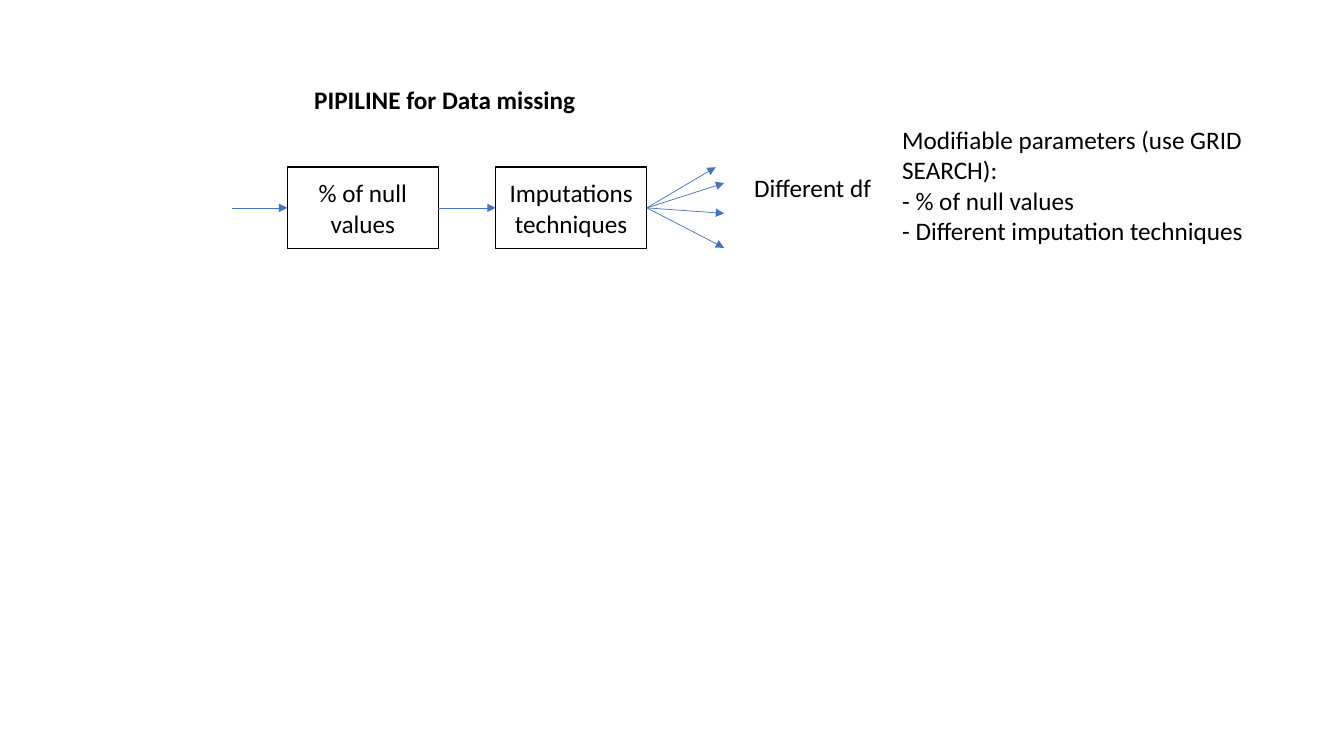
from lxml.etree import SubElement
from pptx import Presentation
from pptx.dml.color import RGBColor
from pptx.enum.shapes import MSO_CONNECTOR as Connector, MSO_SHAPE as Shape
from pptx.enum.text import MSO_ANCHOR as Anchor, MSO_AUTO_SIZE as AutoSize, PP_ALIGN as Align
from pptx.oxml.ns import qn
from pptx.util import Inches, Pt

BLACK = RGBColor(0x00, 0x00, 0x00)
WHITE = RGBColor(0xFF, 0xFF, 0xFF)
BLUE = RGBColor(0x44, 0x72, 0xC4)
COLUMNS, ROWS = 160, 90


class PipelineSlide:
    """Style and current slide; lengths are columns and rows of the grid."""

    font_name = "Calibri"
    font_size = Pt(18)

    def __init__(self, presentation):
        self.slide = presentation.slides.add_slide(presentation.slide_layouts[1])
        self.column = presentation.slide_width / COLUMNS
        self.row = presentation.slide_height / ROWS

    def place(self, left, top, width, height):
        return (round(left * self.column), round(top * self.row),
                round(width * self.column), round(height * self.row))

    def set_text(self, shape, text, align=Align.LEFT, anchor=Anchor.TOP, bold=False, wrap=True):
        frame = shape.text_frame
        frame.text = text
        frame.word_wrap = wrap
        frame.auto_size = AutoSize.NONE
        frame.vertical_anchor = anchor
        for paragraph in frame.paragraphs:
            paragraph.alignment = align
            paragraph.space_before = Pt(0)
            for run in paragraph.runs:
                run.font.name = self.font_name
                run.font.size = self.font_size
                run.font.bold = bold
                run.font.color.rgb = BLACK

    def move(self, shape, area):
        shape.left, shape.top, shape.width, shape.height = self.place(*area)

    def title(self, text, area):
        shape = self.slide.shapes.title
        self.move(shape, area)
        self.set_text(shape, text, bold=True, wrap=False)

    def body(self, lines, area):
        shape = self.slide.placeholders[1]
        self.move(shape, area)
        self.set_text(shape, "\n".join(lines))
        for paragraph in shape.text_frame.paragraphs:
            properties = paragraph._p.get_or_add_pPr()
            properties.set("marL", "0")
            properties.set("indent", "0")
            SubElement(properties, qn("a:buNone"))

    def label(self, text, area):
        shape = self.slide.shapes.add_textbox(*self.place(*area))
        self.set_text(shape, text, wrap=False)

    def box(self, text, area):
        shape = self.slide.shapes.add_shape(Shape.RECTANGLE, *self.place(*area))
        shape.shadow.inherit = False
        shape.fill.solid()
        shape.fill.fore_color.rgb = WHITE
        shape.line.color.rgb = BLACK
        shape.line.width = Pt(1)
        self.set_text(shape, text, Align.CENTER, Anchor.MIDDLE)

    def arrow(self, start, end):
        connector = self.slide.shapes.add_connector(
            Connector.STRAIGHT, *self.place(*start, *end))
        connector.line.color.rgb = BLUE
        connector.line.width = Pt(0.5)
        SubElement(connector.line._get_or_add_ln(), qn("a:tailEnd"), type="triangle")
        SubElement(connector._element.spPr, qn("a:effectLst"))


def main():
    presentation = Presentation()
    presentation.slide_width = Inches(13.33)
    presentation.slide_height = Inches(7.5)
    pipeline = PipelineSlide(presentation)

    # Title and parameter list
    pipeline.title("PIPILINE for Data missing", (36.2, 9.4, 33.8, 4.8))
    pipeline.body(["Modifiable parameters (use GRID SEARCH):",
                   "- % of null values",
                   "- Different imputation techniques"], (106.2, 14.2, 48.1, 19.4))

    # Steps, each with the arrow leading into it
    step_top, step_width, step_height = 19.9, 18, 9.7
    middle = step_top + step_height / 2
    steps = [("% of null values", 27.6, 34.2), ("Imputations techniques", 52.2, 59)]
    for text, arrow_start, left in steps:
        pipeline.box(text, (left, step_top, step_width, step_height))
        pipeline.arrow((arrow_start, middle), (left, middle))

    # Fan of resulting data frames
    fan_start = (steps[-1][2] + step_width, middle)
    for tip in [(85.2, 19.9), (86.2, 21.8), (86.2, 25.4), (86.2, 29.5)]:
        pipeline.arrow(fan_start, tip)
    pipeline.label("Different df", (88.6, 19.9, 16.6, 4.8))

    presentation.save("out.pptx")


if __name__ == "__main__":
    main()
